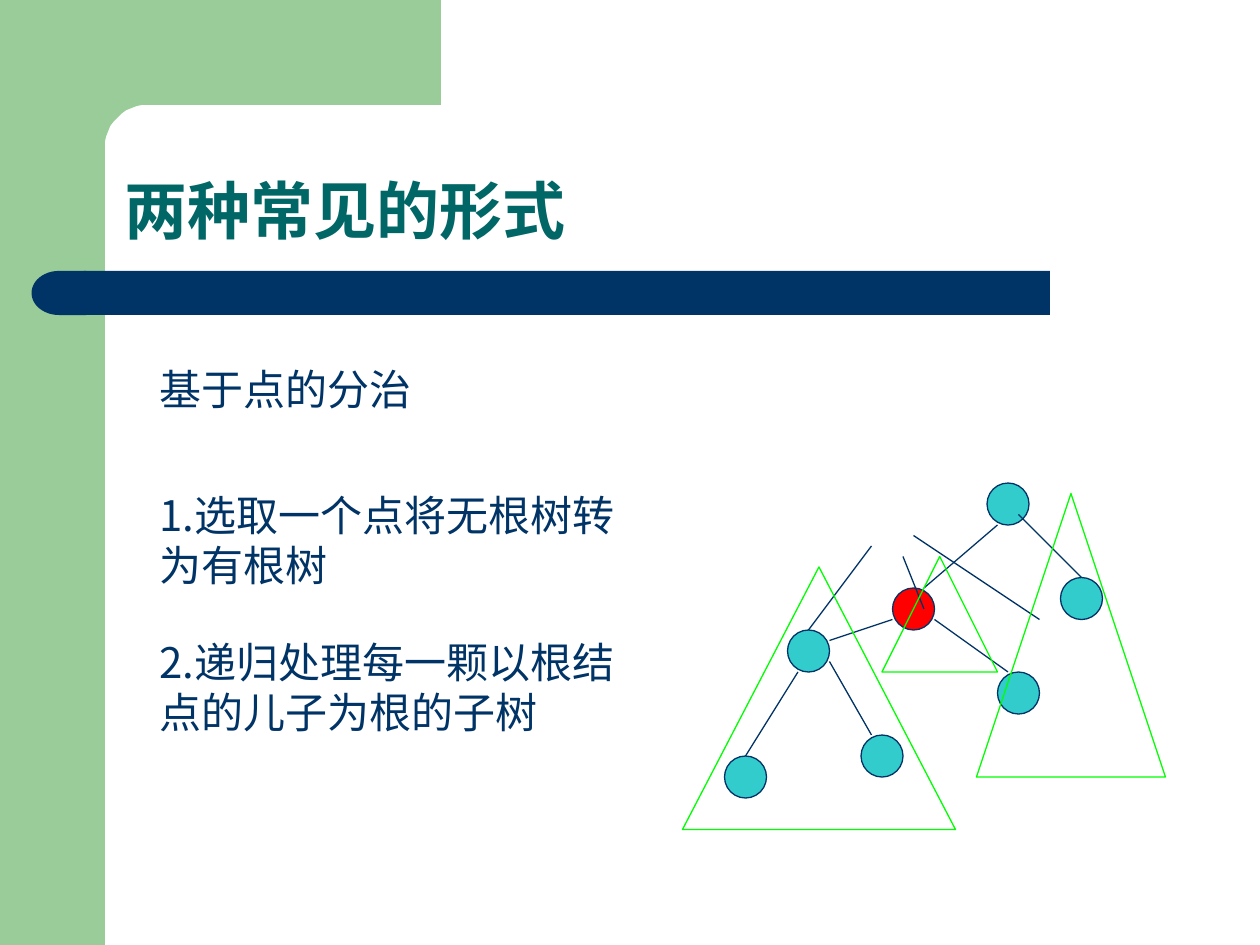
from math import cos, pi, sin

from pptx import Presentation
from pptx.dml.color import RGBColor
from pptx.enum.lang import MSO_LANGUAGE_ID as Language
from pptx.enum.shapes import MSO_CONNECTOR as Connector, MSO_SHAPE as Shape
from pptx.enum.text import MSO_ANCHOR as Anchor, MSO_AUTO_SIZE as AutoSize
from pptx.oxml.ns import qn
from pptx.util import Emu, Pt
from lxml import etree

PX = 7620  # EMU per px, 120 px to the inch


class Theme:
    green = RGBColor.from_string("99CC99")
    navy = RGBColor.from_string("003366")
    teal = RGBColor.from_string("006666")
    node = RGBColor.from_string("33CCCC")
    root = RGBColor.from_string("FF0000")
    subtree = RGBColor.from_string("00FF00")
    title_size = Pt(36)
    body_size = Pt(24)
    line_width = Pt(0.75)
    latin = "Arial"
    chinese = "Noto Sans CJK SC"


deck = Presentation()
deck.slide_width, deck.slide_height = Emu(1200 * PX), Emu(900 * PX)
page = deck.slides.add_slide(deck.slide_layouts[6])


def add_figure(kind, left, top, width, height, fill=None, line=None):
    figure = page.shapes.add_shape(kind, *(Emu(v * PX) for v in (left, top, width, height)))
    figure.shadow.inherit = False
    if fill is None:
        figure.fill.background()
    else:
        figure.fill.solid()
        figure.fill.fore_color.rgb = fill
    if line is None:
        figure.line.fill.background()
    else:
        figure.line.color.rgb = line
        figure.line.width = Theme.line_width
    return figure


def add_text(words, left, top, width, height, font, size, color):
    box = page.shapes.add_textbox(*(Emu(v * PX) for v in (left, top, width, height)))
    box.text_frame.word_wrap = True
    para = box.text_frame.paragraphs[0]
    span = para.add_run()
    span.text = words
    span.font.name, span.font.size = font, size
    span.font.color.rgb = color
    span.font.language_id = Language.SIMPLIFIED_CHINESE
    return box, para, span


# Green side band and top corner with a rounded inner edge
add_figure(Shape.RECTANGLE, 0, 0, 100, 900, Theme.green)
radius, center, steps = 40, 140, 12
arc = [(round(center - radius * sin(pi / 2 * i / steps)),
        round(center - radius * cos(pi / 2 * i / steps))) for i in range(steps + 1)]
builder = page.shapes.build_freeform(420, 0, scale=PX)
builder.add_line_segments([(420, 100), *arc, (100, 153), (60, 153), (60, 0)], close=True)
corner = builder.convert_to_shape()
corner.shadow.inherit = False
corner.fill.solid()
corner.fill.fore_color.rgb = Theme.green
corner.line.fill.background()

# Navy bar with a round left end
add_figure(Shape.RECTANGLE, 80, 258, 920, 42, Theme.navy)
bar_end = add_figure(Shape.FLOWCHART_DELAY, 30, 258, 52, 42, Theme.navy)
bar_end.rotation = 180

# Title
box, para, span = add_text("两种常见的形式", 107, 107, 1025, 135,
                           Theme.latin, Theme.title_size, Theme.teal)
box.text_frame.vertical_anchor = Anchor.BOTTOM
para.line_spacing = 0.9
span.font.bold = True

# Body text
for words, top, width, height, font in [
    ("基于点的分治", 340, 380, 60, Theme.latin),
    ("1.选取一个点将无根树转为有根树", 460, 480, 108, Theme.chinese),
    ("2.递归处理每一颗以根结点的儿子为根的子树", 600, 480, 108, Theme.chinese),
]:
    box, para, span = add_text(words, 140, top, width, height,
                               font, Theme.body_size, Theme.navy)
    box.text_frame.auto_size = AutoSize.SHAPE_TO_FIT_TEXT
    para.space_before = Pt(15)

# Tree nodes, the chosen root in red
for left, top, fill in [
    (950, 640, Theme.node), (820, 700, Theme.node), (750, 600, Theme.node),
    (690, 720, Theme.node), (940, 460, Theme.node), (1010, 550, Theme.node),
    (850, 560, Theme.root),
]:
    add_figure(Shape.OVAL, left, top, 40, 40, fill, Theme.navy)

# Tree edges, then the three lines leading to the subtrees
for x1, y1, x2, y2 in [
    (760, 640, 710, 720), (790, 630, 830, 700), (790, 610, 850, 590),
    (890, 590, 960, 640), (880, 560, 950, 500), (970, 490, 1030, 550),
    (830, 520, 770, 600), (860, 530, 880, 580), (870, 510, 990, 590),
]:
    edge = page.shapes.add_connector(Connector.STRAIGHT,
                                     *(Emu(v * PX) for v in (x1, y1, x2, y2)))
    edge.line.color.rgb = Theme.navy
    edge.line.width = Theme.line_width
    etree.SubElement(edge._element.spPr, qn("a:effectLst"))

# Subtree outlines
for left, top, width, height in [
    (650, 540, 260, 250), (840, 530, 110, 110), (930, 470, 180, 270),
]:
    add_figure(Shape.ISOSCELES_TRIANGLE, left, top, width, height, line=Theme.subtree)

deck.save("out.pptx")
